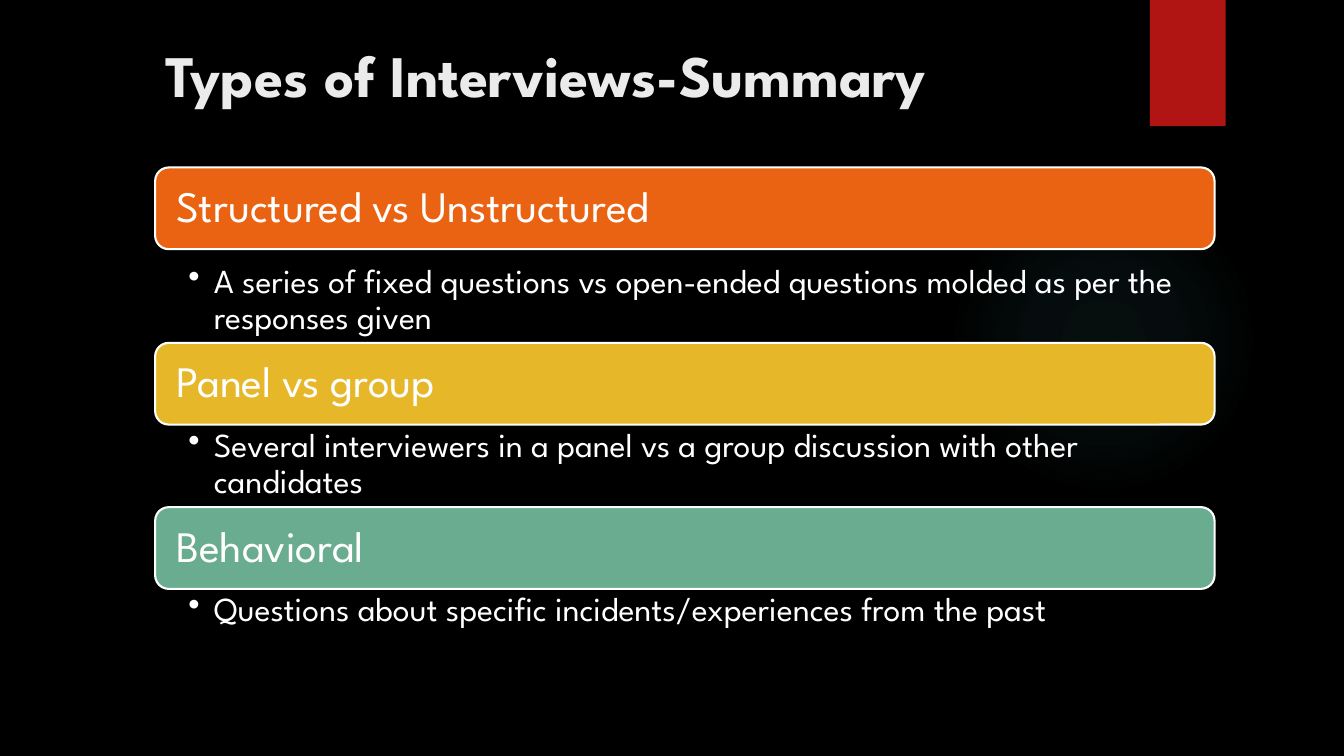
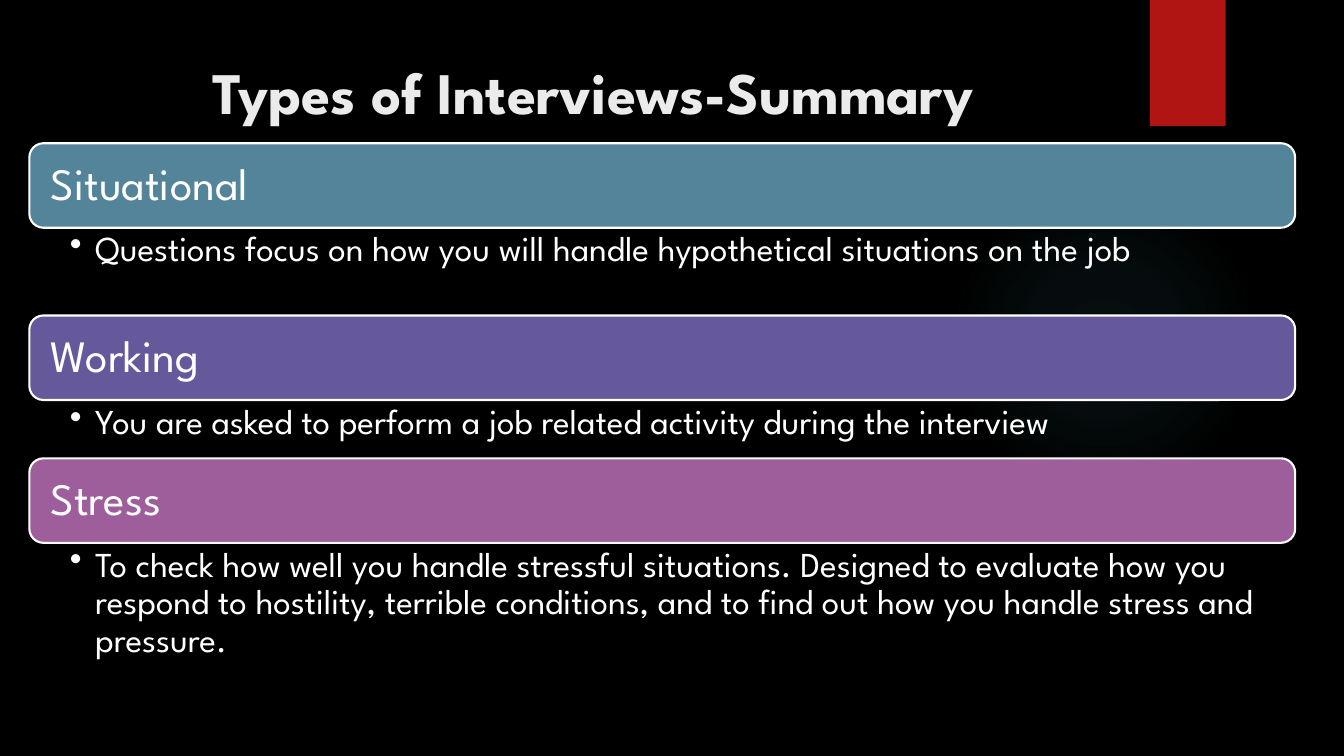
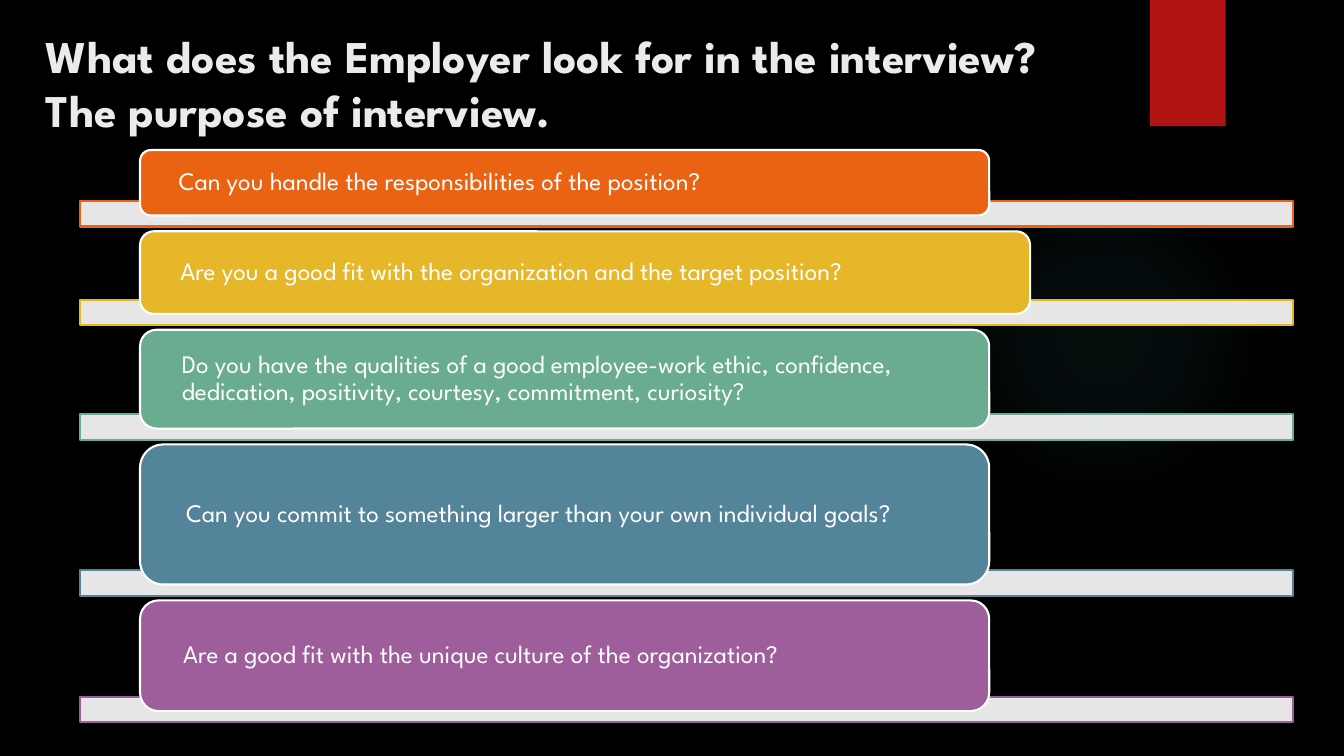
"""Build three slides on interview types and the purpose of interviews."""
import pptx
import pptx.dml.color
import pptx.enum.shapes
import pptx.enum.text
import pptx.oxml
import pptx.oxml.ns
import pptx.util

Cm = pptx.util.Cm
Kind = pptx.enum.shapes.MSO_SHAPE
Anchor = pptx.enum.text.MSO_ANCHOR
qn = pptx.oxml.ns.qn

WHITE, ORANGE, GOLD, GREEN = "FFFFFF", "EA6312", "E6B729", "6AAC90"
BLUE, VIOLET, PLUM = "54849A", "65599C", "9E5E9B"


def rgb(code):
    return pptx.dml.color.RGBColor.from_string(code)


class Deck:
    font = "League Spartan"
    ink = "EBEBEB"
    red = "B01513"
    teal = "50B9C1"
    back = "000000"

    def __init__(self):
        self.show = pptx.Presentation()
        self.show.slide_width = Cm(33.87)
        self.show.slide_height = Cm(19.05)
        self.slide = None

    def page(self, title, left, top, width, size):
        self.slide = self.show.slides.add_slide(self.show.slide_layouts[6])
        self.slide.background.fill.solid()
        self.slide.background.fill.fore_color.rgb = rgb(self.back)
        self.glow()
        self.shape(Kind.RECTANGLE, 28.98, 0, 1.91, 3.18, self.red)
        box = self.slide.shapes.add_textbox(Cm(left), Cm(top), Cm(width), Cm(2.2))
        self.words(box, title, size, self.ink).font.bold = True

    def shape(self, kind, left, top, width, height, fill, line=None):
        item = self.slide.shapes.add_shape(kind, Cm(left), Cm(top), Cm(width), Cm(height))
        item.shadow.inherit = False
        item.fill.solid()
        item.fill.fore_color.rgb = rgb(fill)
        if line:
            item.line.color.rgb = rgb(line)
            item.line.width = pptx.util.Pt(1.5)
        else:
            item.line.fill.background()
        return item

    def fade(self, item, share):
        color = item.element.spPr.find(qn("a:solidFill"))[0]
        color.append(pptx.oxml.parse_xml(
            f'<a:alpha {pptx.oxml.ns.nsdecls("a")} val="{share * 1000}"/>'))

    def glow(self):
        item = self.shape(Kind.OVAL, 23.9, 4.65, 7.82, 7.82, self.teal)
        stops = "".join(
            f'<a:gs pos="{at * 1000}"><a:srgbClr val="{self.teal}">'
            f'<a:alpha val="{share * 1000}"/></a:srgbClr></a:gs>'
            for at, share in ((0, 7), (36, 6), (69, 0)))
        blend = pptx.oxml.parse_xml(
            f'<a:gradFill {pptx.oxml.ns.nsdecls("a")}><a:gsLst>{stops}</a:gsLst>'
            '<a:path path="circle"><a:fillToRect l="50000" t="50000" r="50000" b="50000"/>'
            '</a:path></a:gradFill>')
        props = item.element.spPr
        props.replace(props.find(qn("a:solidFill")), blend)

    def words(self, item, text, size, color=WHITE):
        item.text_frame.word_wrap = True
        para = item.text_frame.paragraphs[0]
        para.text = text
        para.alignment = pptx.enum.text.PP_ALIGN.LEFT
        para.font.name = self.font
        para.font.size = pptx.util.Pt(size)
        para.font.color.rgb = rgb(color)
        return para

    def inset(self, item, left, right, edge):
        frame = item.text_frame
        frame.margin_left, frame.margin_right = Cm(left), Cm(right)
        frame.margin_top = frame.margin_bottom = Cm(edge)

    def label(self, left, top, width, height, fill, text, size, pad):
        item = self.shape(Kind.ROUNDED_RECTANGLE, left, top, width, height, fill, WHITE)
        item.text_frame.vertical_anchor = Anchor.MIDDLE
        side = pad + 0.05 * height
        self.inset(item, side, side, 0)
        self.words(item, text, size).line_spacing = 0.9

    def bullet(self, left, top, width, height, text, size, pad):
        item = self.slide.shapes.add_textbox(Cm(left), Cm(top), Cm(width), Cm(height))
        self.inset(item, pad, 0.6, 0.1)
        para = self.words(item, text, size)
        para.level = 1
        para.line_spacing = 0.9
        props = next(item.element.iter(qn("a:pPr")))
        props.set("marL", str(Cm(0.64)))
        props.set("indent", str(-Cm(0.64)))
        mark = pptx.oxml.parse_xml(f'<a:buChar {pptx.oxml.ns.nsdecls("a")} char="•"/>')
        props.find(qn("a:lnSpc")).addnext(mark)

    def topics(self, left, top, width, height, size, small, pad, rows):
        for fill, head, text, gap, depth in rows:
            self.label(left, top, width, height, fill, head, size, 0.33)
            top += height + gap
            self.bullet(left, top, width, depth, text, small, pad)
            top += depth

    def goals(self, top, rows):
        for fill, text, width, height in rows:
            strip = self.shape(Kind.RECTANGLE, 2.01, top + height - 0.36,
                               30.58, 0.64, WHITE, fill)
            self.fade(strip, 90)
            self.label(3.53, top, width, height, fill, text, 18, 0.81)
            top += height + 0.4


deck = Deck()

deck.page("Types of Interviews-Summary", 3.91, 0.84, 24.77, 42)
deck.topics(3.91, 4.22, 26.7, 2.06, 31, 24, 0.84, (
    (ORANGE, "Structured vs Unstructured",
     "A series of fixed questions vs open-ended questions molded as per the responses given",
     0.28, 2.08),
    (GOLD, "Panel vs group",
     "Several interviewers in a panel vs a group discussion with other candidates", 0, 2.08),
    (GREEN, "Behavioral",
     "Questions about specific incidents/experiences from the past", 0, 2.08)))

deck.page("Types of Interviews-Summary", 5.11, 1.27, 24.77, 42)
deck.topics(0.74, 3.61, 31.9, 2.13, 32, 25, 1.02, (
    (BLUE, "Situational",
     "Questions focus on how you will handle hypothetical situations on the job", 0, 2.21),
    (VIOLET, "Working",
     "You are asked to perform a job related activity during the interview", 0, 1.47),
    (PLUM, "Stress",
     "To check how well you handle stressful situations. Designed to evaluate how you "
     "respond to hostility, terrible conditions, and to find out how you handle stress "
     "and pressure.", 0, 3.12)))

deck.page("What does the Employer look for in the interview?\nThe purpose of interview.",
          0.91, 0.58, 31.04, 32.4)
deck.goals(3.78, (
    (ORANGE, "Can you handle the responsibilities of the position?", 21.4, 1.65),
    (GOLD, "Are you a good fit with the organization and the target position?", 22.43, 2.08),
    (GREEN, "Do you have the qualities of a good employee-work ethic, confidence, "
     "dedication, positivity, courtesy, commitment, curiosity?", 21.4, 2.49),
    (BLUE, "Can you commit to something larger than your own individual goals?", 21.4, 3.53),
    (PLUM, "Are a good fit with the unique culture of the organization?", 21.4, 2.79)))

deck.show.save("out.pptx")
